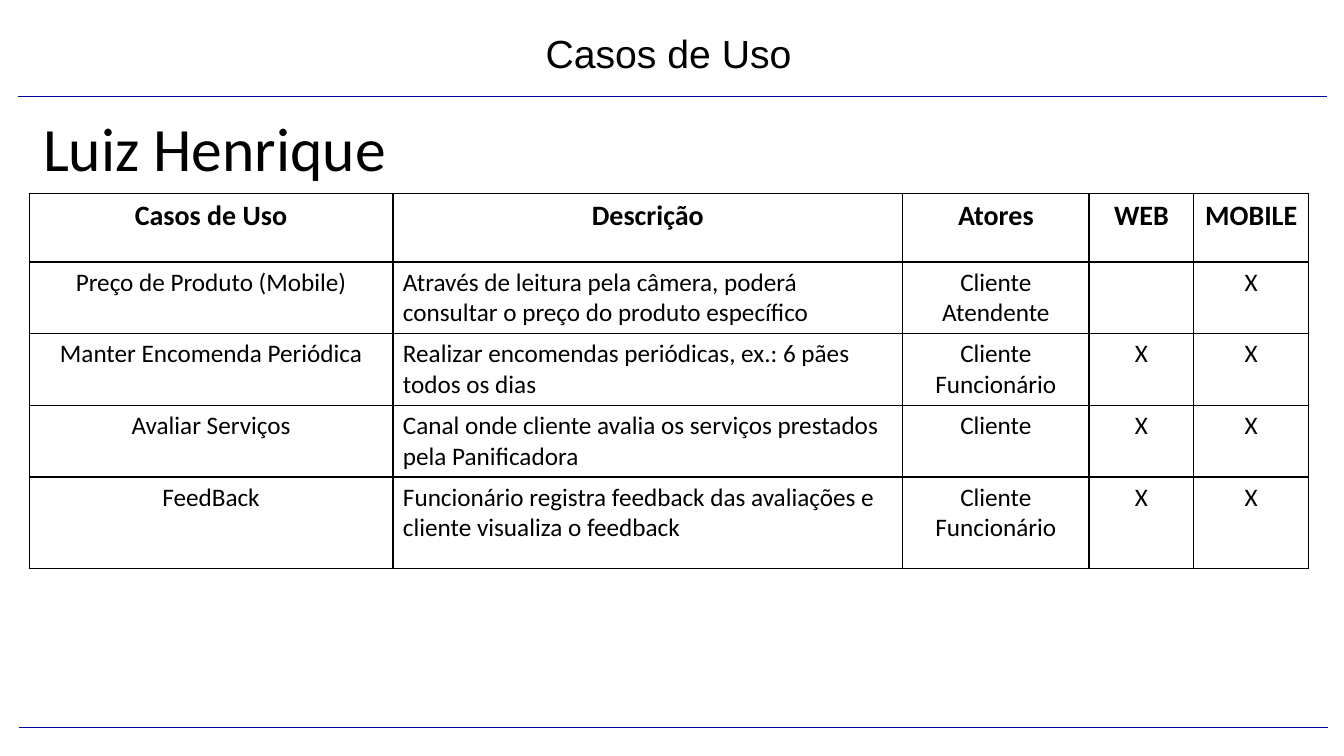
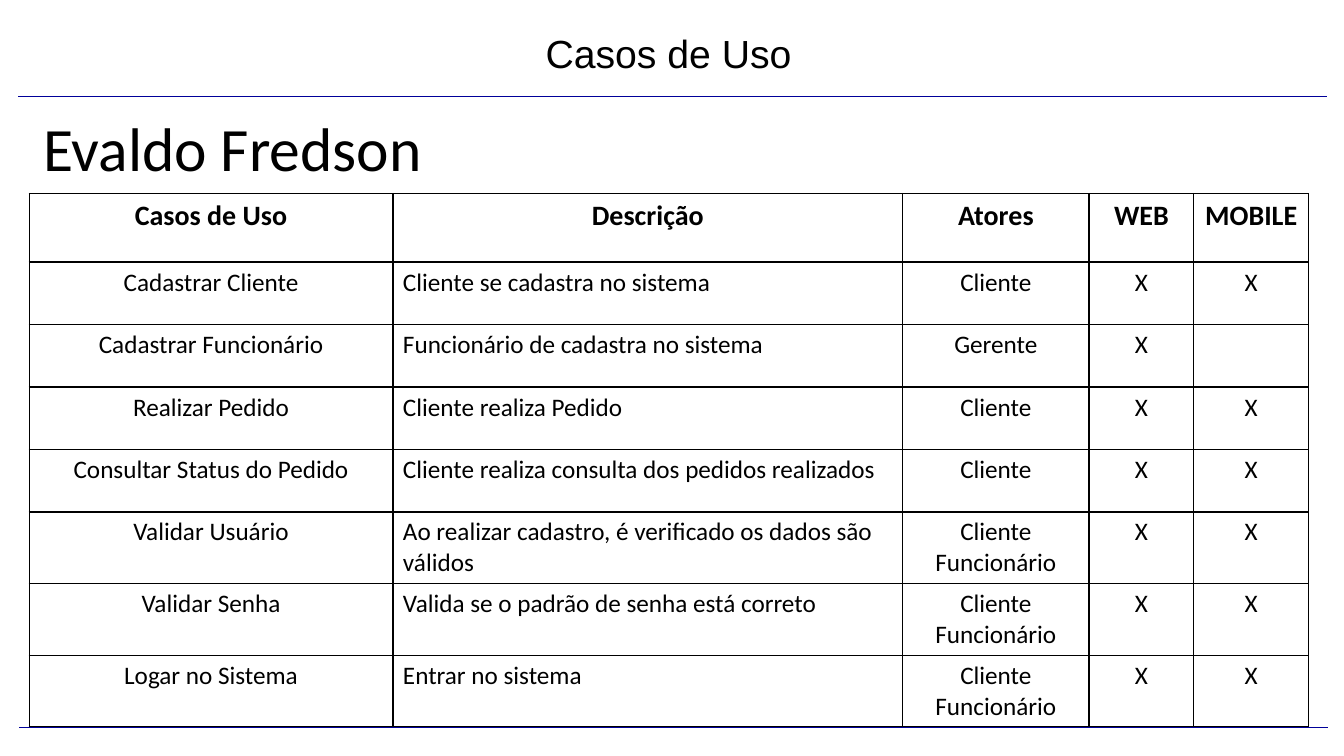
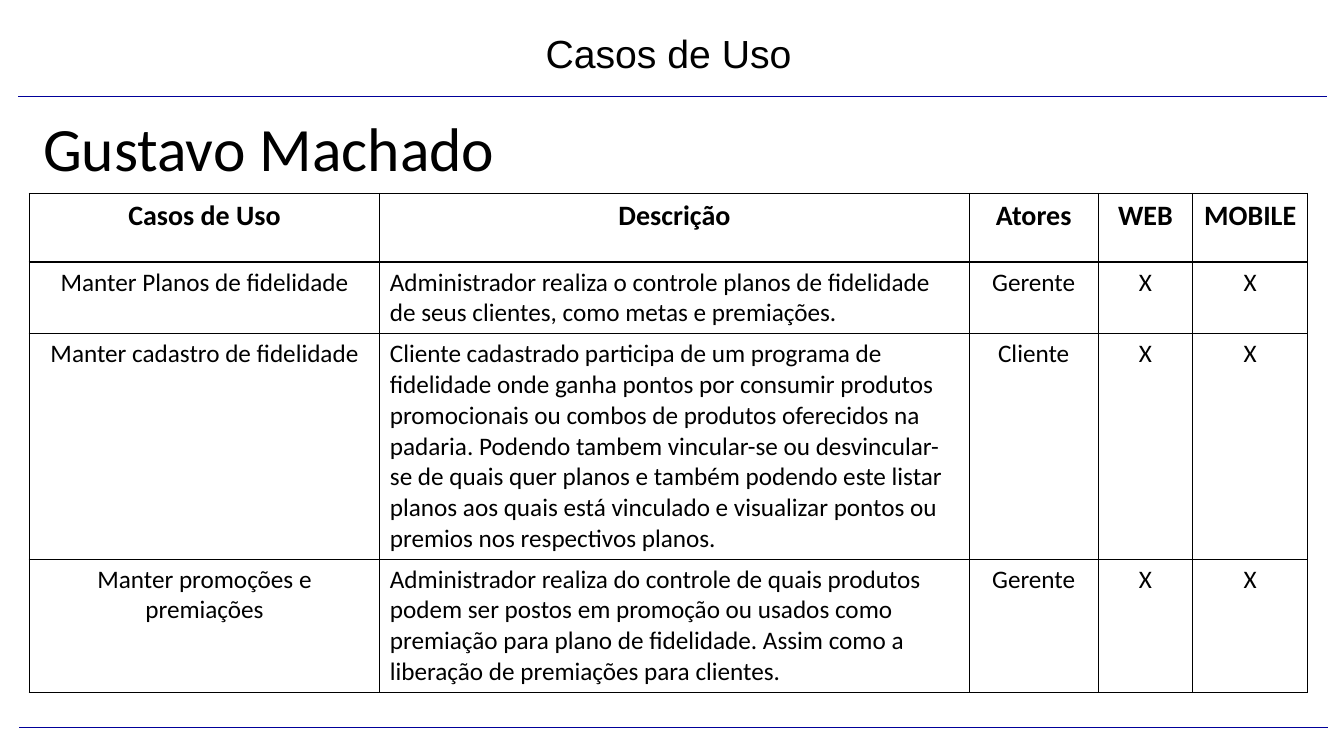
import pptx
import pptx.util
import pptx.dml.color
import pptx.enum.shapes
import pptx.enum.text
import pptx.oxml
import pptx.oxml.ns
from lxml import etree

Inches, Pt = pptx.util.Inches, pptx.util.Pt
RGB = pptx.dml.color.RGBColor.from_string
ALIGN = pptx.enum.text.PP_ALIGN
ANCHOR = pptx.enum.text.MSO_ANCHOR
qn = pptx.oxml.ns.qn

COLORS = {"text": "000000", "rule": "000099", "border": "000000"}
TITLE = "Casos de Uso"
HEADER = ["Casos de Uso", "Descrição", "Atores", "WEB", "MOBILE"]
WIDE_COLS = [3.61, 5.06, 1.85, 1.04, 1.14]
HEADER_H = 0.68
RULES = [(0.18, 0.96), (0.19, 7.22)]
RULE_W = 12.99

# Per slide: person, column widths, body row heights, body rows
people = [
    ("Luiz Henrique", WIDE_COLS, [0.63] * 3 + [0.91], [
        ["Preço de Produto (Mobile)",
         "Através de leitura pela câmera, poderá consultar o preço do produto específico",
         "Cliente Atendente", "", "X"],
        ["Manter Encomenda Periódica",
         "Realizar encomendas periódicas, ex.: 6 pães todos os dias",
         "Cliente Funcionário", "X", "X"],
        ["Avaliar Serviços",
         "Canal onde cliente avalia os serviços prestados pela Panificadora",
         "Cliente", "X", "X"],
        ["FeedBack",
         "Funcionário registra feedback das avaliações e cliente visualiza o feedback",
         "Cliente Funcionário", "X", "X"],
    ]),
    ("Evaldo Fredson", WIDE_COLS, [0.62] * 6 + [0.61], [
        ["Cadastrar Cliente", "Cliente se cadastra no sistema", "Cliente", "X", "X"],
        ["Cadastrar Funcionário", "Funcionário de cadastra no sistema", "Gerente", "X", ""],
        ["Realizar Pedido", "Cliente realiza Pedido", "Cliente", "X", "X"],
        ["Consultar Status do Pedido", "Cliente realiza consulta dos pedidos realizados",
         "Cliente", "X", "X"],
        ["Validar Usuário", "Ao realizar cadastro, é verificado os dados são válidos",
         "Cliente\nFuncionário", "X", "X"],
        ["Validar Senha", "Valida se o padrão de senha está correto",
         "Cliente\nFuncionário", "X", "X"],
        ["Logar no Sistema", "Entrar no sistema", "Cliente\nFuncionário", "X", "X"],
    ]),
    ("Gustavo Machado", [3.48, 5.85, 1.28, 0.94, 1.14], [0.61, 1.51, 1.21], [
        ["Manter Planos de fidelidade",
         "Administrador realiza o controle planos de fidelidade de seus clientes, "
         "como metas e premiações.",
         "Gerente", "X", "X"],
        ["Manter cadastro de fidelidade",
         "Cliente cadastrado participa de um programa de fidelidade onde ganha pontos "
         "por consumir produtos promocionais ou combos de produtos oferecidos na padaria. "
         "Podendo tambem vincular-se ou desvincular-se de quais quer planos e também "
         "podendo este listar planos aos quais está vinculado e visualizar pontos ou "
         "premios nos respectivos planos.",
         "Cliente", "X", "X"],
        ["Manter promoções e premiações",
         "Administrador realiza do controle de quais produtos podem ser postos em promoção "
         "ou usados como premiação para plano de fidelidade. Assim como a liberação de "
         "premiações para clientes.",
         "Gerente", "X", "X"],
    ]),
]


def style_text(tf, size, font="Calibri", bold=False, align=ALIGN.LEFT):
    for p in tf.paragraphs:
        p.alignment = align
        for r in p.runs:
            r.font.size, r.font.name, r.font.bold = Pt(size), font, bold
            r.font.color.rgb = RGB(COLORS["text"])


def add_borders(cell):
    tcPr = cell._tc.get_or_add_tcPr()
    for side in ("lnL", "lnR", "lnT", "lnB"):
        ln = etree.SubElement(tcPr, qn("a:" + side), w=str(Pt(1)))
        fill = etree.SubElement(ln, qn("a:solidFill"))
        etree.SubElement(fill, qn("a:srgbClr"), val=COLORS["border"])


prs = pptx.Presentation()
prs.slide_width, prs.slide_height = Inches(13.34), Inches(7.5)

for person, col_widths, row_heights, rows in people:
    s = prs.slides.add_slide(prs.slide_layouts[5])

    # Rules under the title and at the foot
    for x, y in RULES:
        rule = s.shapes.add_connector(pptx.enum.shapes.MSO_CONNECTOR.STRAIGHT,
                                      Inches(x), Inches(y), Inches(x + RULE_W), Inches(y))
        rule.line.color.rgb = RGB(COLORS["rule"])
        rule.line.width = Pt(0.74)
        etree.SubElement(rule.element.spPr, qn("a:effectLst"))

    # Title
    title = s.shapes.title
    title.left, title.top = Inches(1.95), Inches(0.24)
    title.width, title.height = Inches(9.37), Inches(0.57)
    tf = title.text_frame
    tf.text = TITLE
    tf.auto_size = pptx.enum.text.MSO_AUTO_SIZE.NONE
    tf.vertical_anchor = ANCHOR.TOP
    style_text(tf, 28, "Arial", align=ALIGN.CENTER)

    # Use case table
    heights = [HEADER_H] + row_heights
    table = s.shapes.add_table(len(heights), len(HEADER), Inches(0.29), Inches(1.92),
                               Inches(sum(col_widths)), Inches(sum(heights))).table
    table.horz_banding = False
    for col, w in zip(table.columns, col_widths):
        col.width = Inches(w)
    for row, h in zip(table.rows, heights):
        row.height = Inches(h)
    for i, texts in enumerate([HEADER] + rows):
        for j, text in enumerate(texts):
            cell = table.cell(i, j)
            cell.text = text
            is_header = i == 0
            is_description = j == 1 and not is_header
            style_text(cell.text_frame, 20 if is_header else 18, bold=is_header,
                       align=ALIGN.LEFT if is_description else ALIGN.CENTER)
            add_borders(cell)
            cell.fill.background()

    # Person responsible
    name = s.shapes.add_textbox(Inches(0.33), Inches(1.17), Inches(10.5), Inches(0.58))
    tf = name.text_frame
    tf.text = person
    tf.word_wrap = True
    tf.vertical_anchor = ANCHOR.MIDDLE
    style_text(tf, 44)

prs.save("out.pptx")
